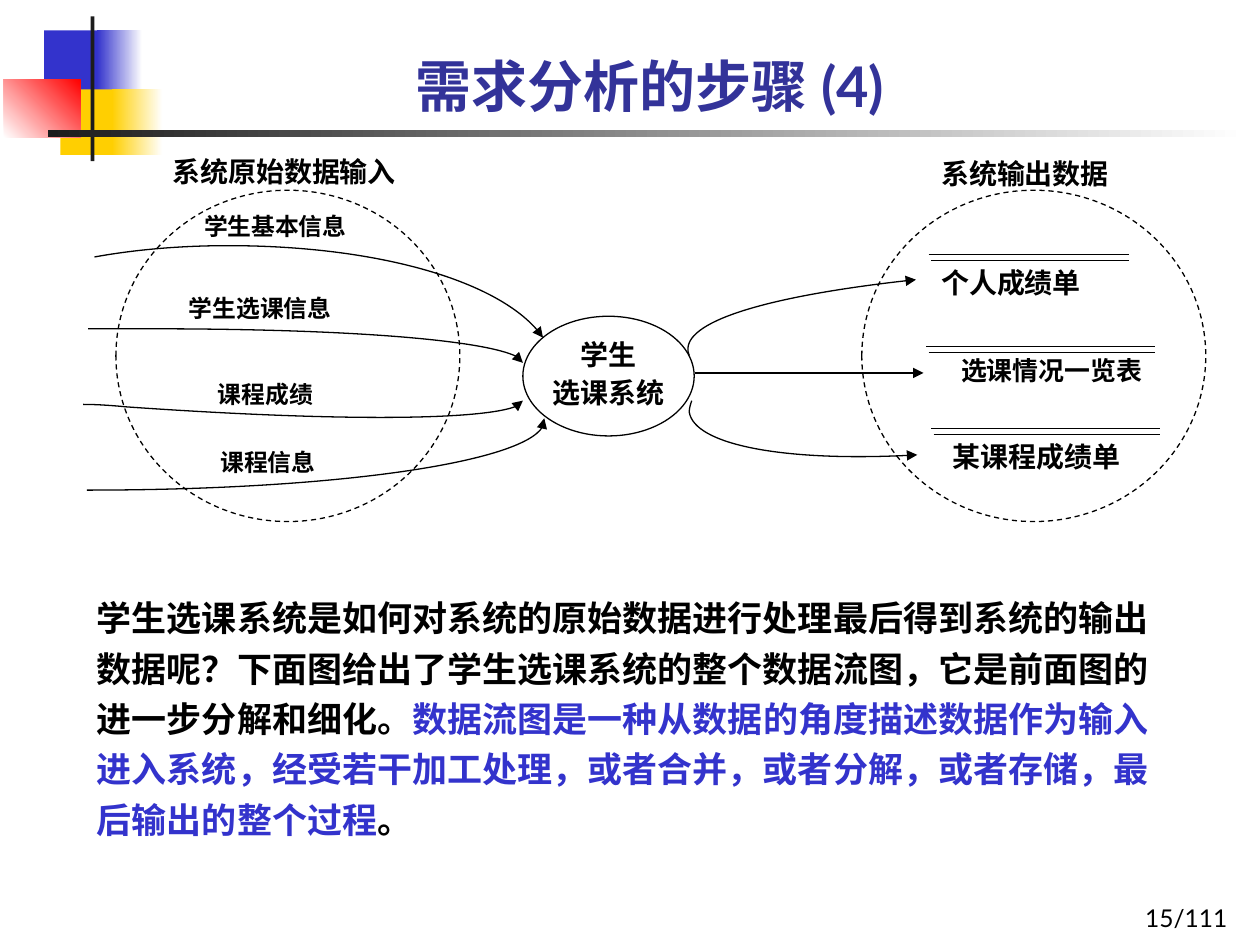
from lxml.etree import SubElement
from pptx import Presentation
from pptx.dml.color import RGBColor
from pptx.enum.dml import MSO_LINE
from pptx.enum.shapes import MSO_CONNECTOR, MSO_SHAPE
from pptx.enum.text import MSO_ANCHOR, PP_ALIGN
from pptx.oxml.ns import qn
from pptx.util import Inches, Pt

COLS, ROWS = 100, 75
BLACK, WHITE, BLUE, YELLOW, RED, DARK = "000000", "FFFFFF", "3333CC", "FFCF01", "FF0000", "1C1C1C"
CJK = "Noto Sans CJK SC"


def color(value):
    return RGBColor.from_string(value)


def assign(target, values):
    for name, value in values.items():
        setattr(target, name, value)


class Deck:
    label = {"font": "Times New Roman", "size": 16, "bold": True, "color": BLACK}
    line_width = Pt(0.75)

    def __init__(self):
        self.prs = Presentation()
        assign(self.prs, {"slide_width": Inches(10), "slide_height": Inches(7.5)})
        self.s = self.prs.slides.add_slide(self.prs.slide_layouts[6])

    def x(self, col):
        return round(self.prs.slide_width * col / COLS)

    def y(self, row):
        return round(self.prs.slide_height * row / ROWS)

    def box(self, at):
        left, top, width, height = at
        return self.x(left), self.y(top), self.x(width), self.y(height)

    def stroke(self, sp, dash=None, arrow=False):
        assign(sp.line, {"width": self.line_width, "dash_style": dash})
        sp.line.fill.solid()
        sp.line.color.rgb = color(BLACK)
        if arrow:
            SubElement(sp.line._get_or_add_ln(), qn("a:tailEnd"), type="triangle")

    def block(self, at, *fills, angle=0):
        sp = self.s.shapes.add_shape(MSO_SHAPE.RECTANGLE, *self.box(at))
        sp.shadow.inherit = False
        sp.line.fill.background()
        if len(fills) == 1:
            sp.fill.solid()
            sp.fill.fore_color.rgb = color(fills[0])
        else:
            sp.fill.gradient()
            sp.fill.gradient_angle = angle
            for stop, value in zip(sp.fill.gradient_stops, fills):
                stop.color.rgb = color(value)

    def ellipse(self, at, fill=None, dash=None):
        sp = self.s.shapes.add_shape(MSO_SHAPE.OVAL, *self.box(at))
        sp.shadow.inherit = False
        if fill:
            sp.fill.solid()
            sp.fill.fore_color.rgb = color(fill)
        else:
            sp.fill.background()
        self.stroke(sp, dash)
        return sp

    def set_text(self, sp, paragraphs, align=PP_ALIGN.LEFT, anchor=MSO_ANCHOR.TOP,
                 spacing=1.0, inset=(0, 0), **style):
        look = {**self.label, **style}
        mx, my = Inches(inset[0]), Inches(inset[1])
        tf = sp.text_frame
        assign(tf, {"word_wrap": True, "vertical_anchor": anchor, "margin_left": mx,
                    "margin_right": mx, "margin_top": my, "margin_bottom": my})
        for i, runs in enumerate(paragraphs):
            p = tf.add_paragraph() if i else tf.paragraphs[0]
            assign(p, {"alignment": align, "line_spacing": spacing})
            for text, tint in runs:
                r = p.add_run()
                r.text = text
                assign(r.font, {"name": look["font"], "size": Pt(look["size"]), "bold": look["bold"]})
                r.font.color.rgb = color(tint or look["color"])
                SubElement(r._r.get_or_add_rPr(), qn("a:ea"), typeface=CJK)

    def text(self, at, *runs, **style):
        sp = self.s.shapes.add_textbox(*self.box(at))
        self.set_text(sp, [[(r, None) if isinstance(r, str) else r for r in runs]], **style)

    def line(self, start, end, arrow=False):
        sp = self.s.shapes.add_connector(MSO_CONNECTOR.STRAIGHT, self.x(start[0]), self.y(start[1]),
                                         self.x(end[0]), self.y(end[1]))
        self.stroke(sp, arrow=arrow)
        SubElement(sp._element.spPr, qn("a:effectLst"))

    def curve(self, *points):
        start, *rest = [(self.x(col), self.y(row)) for col, row in points]
        builder = self.s.shapes.build_freeform(*start)
        builder.add_line_segments(rest, close=False)
        sp = builder.convert_to_shape()
        sp.shadow.inherit = False
        sp.fill.background()
        outline = next(sp._element.iter(qn("a:path")))
        segments = outline.findall(qn("a:lnTo"))
        for i in range(0, len(segments), 3):
            bezier = SubElement(outline, qn("a:cubicBezTo"))
            for segment in segments[i:i + 3]:
                bezier.append(segment[0])
                outline.remove(segment)
        self.stroke(sp, arrow=True)


def main():
    d = Deck()
    d.block((3.5, 2.4, 4.8, 5.2), BLUE)
    d.block((7.7, 2.4, 3.6, 5.2), BLUE, WHITE)
    d.block((4.8, 7.1, 4.6, 5.2), YELLOW)
    d.block((8.9, 7.1, 4, 5.2), YELLOW, WHITE)
    d.block((0.3, 6.3, 6.1, 4.6), WHITE, RED, angle=45)
    d.block((7.2, 1.3, 0.3, 11.5), DARK)
    d.block((3.8, 10.3, 95.1, 0.6), DARK, WHITE)

    d.text((9, 1.2, 85.2, 8.7), "需求分析的步骤 (4)", align=PP_ALIGN.CENTER,
           anchor=MSO_ANCHOR.BOTTOM, inset=(0.1, 0.05), font="Lato", size=32, color="333399")
    d.text((77.6, 69.5, 20.8, 5), "15/111", align=PP_ALIGN.RIGHT, anchor=MSO_ANCHOR.BOTTOM,
           inset=(0.1, 0.05), font="Lato", size=14, bold=False)

    system = d.ellipse((41.5, 25.1, 13.6, 9.5), fill=WHITE)
    d.set_text(system, [[("学生", None)], [("选课系统", None)]], align=PP_ALIGN.CENTER, spacing=1.12)

    for left, title, title_left, title_top in (
            (9.2, "系统原始数据输入", 13.7, 12.3), (68.4, "系统输出数据", 74.7, 12.4)):
        d.ellipse((left, 15.1, 27.3, 26.3), dash=MSO_LINE.DASH)
        d.text((title_left, title_top, 18.2, 2.7), title)

    for left, top, name in ((16.2, 17.1, "学生基本信息"), (15, 23.6, "学生选课信息"),
                            (17.3, 30.4, "课程成绩"), (17.5, 35.8, "课程信息")):
        d.text((left, top, 15.6, 2.4), name, size=13.6, spacing=0.9)

    for points in (
            ((7.5, 20.4), (10.8, 19.8), (14.4, 19.5), (18.1, 19.5),
             (29.9, 19.5), (40.2, 22.5), (43.1, 26.8)),
            ((7, 26.1), (8.7, 26.1), (10.3, 26.1), (12, 26.1),
             (28.3, 26.1), (41.5, 27.3), (41.5, 28.8)),
            ((6.6, 32.1), (7.8, 32.1), (9, 32.2), (10.1, 32.3),
             (27.3, 33.5), (41.4, 33.3), (41.5, 31.8)),
            ((6.9, 38.9), (27, 38.9), (43.2, 36.4), (43.2, 33.4),
             (43.2, 33.3), (43.2, 33.2), (43.2, 33.2)),
            ((54.9, 31.8), (54.8, 32.1), (54.7, 32.4), (54.7, 32.7),
             (55.1, 35.3), (62.5, 36.7), (72.8, 36.1)),
            ((54.7, 28.2), (54.6, 28), (54.6, 27.8), (54.6, 27.7),
             (54.6, 25.4), (61.5, 23.4), (72.7, 22.2))):
        d.curve(*points)
    d.line((55.2, 29.6), (73.3, 29.6), arrow=True)

    for upper, lower, right, top in ((73.7, 73.9, 89.6, 20.2), (73.5, 73.7, 91.7, 27.5),
                                     (73.9, 74.1, 92.1, 34)):
        d.line((upper, top), (right, top))
        d.line((lower, top + 0.5), (right, top + 0.5))
    d.text((74.7, 21.1, 15.9, 2.7), "个人成绩单")
    d.text((73.5, 28.4, 19.9, 2.6), "选课情况一览表", align=PP_ALIGN.CENTER, size=14.8, spacing=0.9)
    d.text((74.3, 34.9, 15.9, 2.7), "某课程成绩单", align=PP_ALIGN.CENTER)

    d.text((6.7, 46.2, 88.2, 21),
           "学生选课系统是如何对系统的原始数据进行处理最后得到系统的输出数据呢？"
           "下面图给出了学生选课系统的整个数据流图，它是前面图的进一步分解和细化。",
           ("数据流图是一种从数据的角度描述数据作为输入进入系统，经受若干加工处理，"
            "或者合并，或者分解，或者存储，最后输出的整个过程", BLUE),
           "。", inset=(0.1, 0.05), spacing=1.2, font=CJK, size=20)

    d.prs.save("out.pptx")


if __name__ == "__main__":
    main()
